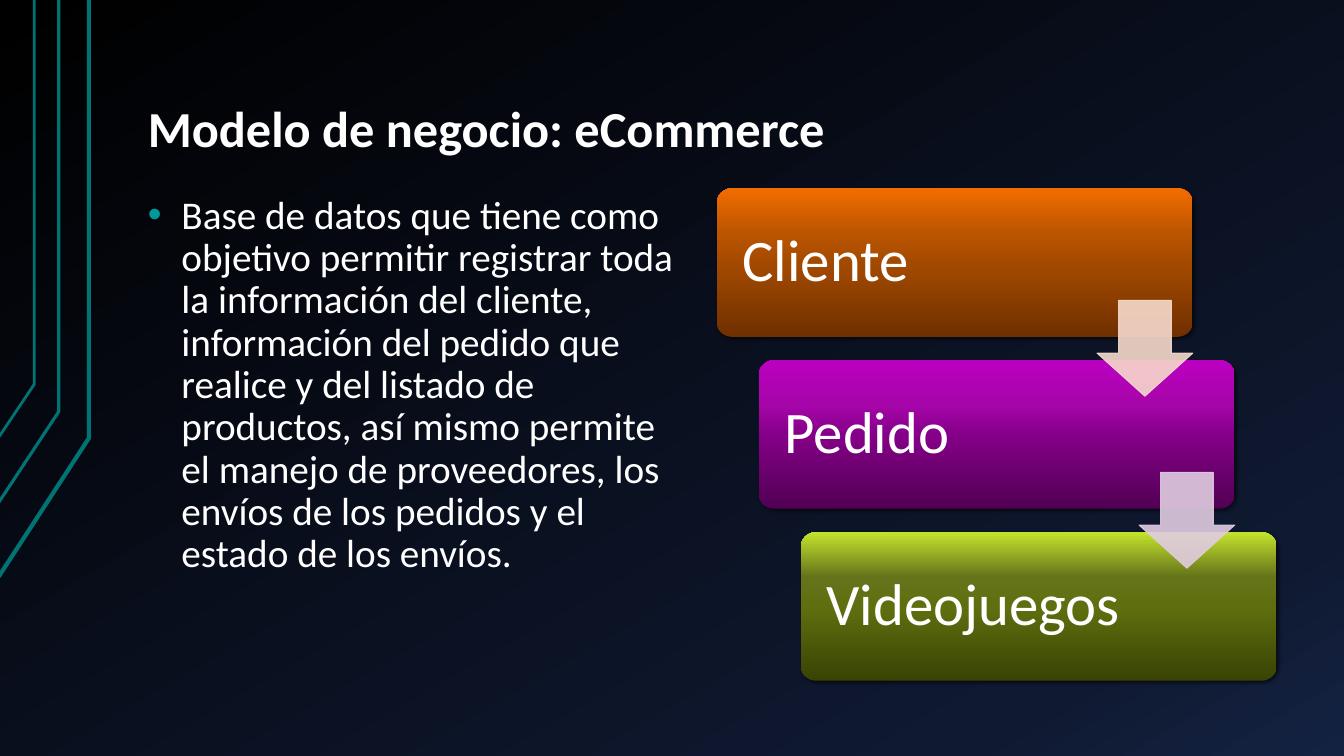
from lxml import etree
from pptx import Presentation
from pptx.dml.color import RGBColor
from pptx.enum import shapes, text
from pptx.oxml import ns
from pptx.util import Pt

TITLE = "Modelo de negocio: eCommerce"
BODY = ("Base de datos que tiene como objetivo permitir registrar toda la "
        "información del cliente, información del pedido que realice y del "
        "listado de productos, así mismo permite el manejo de proveedores, "
        "los envíos de los pedidos y el estado de los envíos.")
# Steps: label, gradient from bottom to top, colour of the arrow that follows
STEPS = [
    ("Cliente", [(0, "703000"), (50, "A44A00"), (70, "BC5500"), (100, "F26D00")], "F7DACC"),
    ("Pedido", [(0, "520054"), (50, "850088"), (70, "A505A9"), (100, "BC00C0")], "E0CCE1"),
    ("Videojuegos", [(0, "394404"), (50, "5F6F0F"), (70, "65741A"), (100, "C4E32D")], None),
]
BACKGROUND = [(0, "000000"), (85, "0F1931"), (100, "142242")]
# Side lines: outer end, bend, line width
SIDE_LINES = [((-1, 412), (63.5, 313), 3),
              ((-1, 359), (42, 294), 2.25),
              ((-1, 312.5), (24.5, 274.5), 2)]
WHITE, TEAL, BULLET = "FFFFFF", "007373", "009999"
BOX_X, BOX_Y, BOX_W, BOX_H = 512, 134.6, 340, 106
STEP_X, STEP_Y = 30, 122.8
ARROW, ARROW_DROP = 68.4, 80


def color(value):
    return RGBColor.from_string(value)


def add_xml(parent, tag, **attrs):
    child = etree.SubElement(parent, ns.qn(tag))
    for name, value in attrs.items():
        child.set(name, str(value))
    return child


def set_gradient(fill, element, stops, angle):
    fill.gradient()
    grad = element.find(".//" + ns.qn("a:gradFill"))
    for child in list(grad):
        grad.remove(child)
    stop_list = add_xml(grad, "a:gsLst")
    for pos, value in stops:
        stop = add_xml(stop_list, "a:gs", pos=pos * 1000)
        add_xml(stop, "a:srgbClr", val=value)
    add_xml(grad, "a:lin", ang=angle * 60000, scaled=0)


def set_alpha(element, percent):
    for clr in element.spPr.iter(ns.qn("a:srgbClr")):
        add_xml(clr, "a:alpha", val=percent * 1000)


def place(sp, x, y, w, h):
    sp.left, sp.top, sp.width, sp.height = Pt(x), Pt(y), Pt(w), Pt(h)


def write(sp, words, size, bold=False, anchor=text.MSO_ANCHOR.TOP,
          before=0, margins=(9.6, 4.8)):
    tf = sp.text_frame
    tf.word_wrap = True
    tf.auto_size = text.MSO_AUTO_SIZE.NONE
    tf.vertical_anchor = anchor
    tf.margin_left = tf.margin_right = Pt(margins[0])
    tf.margin_top = tf.margin_bottom = Pt(margins[1])
    p = tf.paragraphs[0]
    p.alignment = text.PP_ALIGN.LEFT
    p.line_spacing = 0.9
    p.space_before = Pt(before)
    r = p.add_run()
    r.text = words
    r.font.name, r.font.size, r.font.bold = "Calibri", Pt(size), bold
    r.font.color.rgb = color(WHITE)
    return p


prs = Presentation()
prs.slide_width, prs.slide_height = Pt(960), Pt(540)
s = prs.slides.add_slide(prs.slide_layouts[1])
set_gradient(s.background.fill, s._element, BACKGROUND, 60)

# Side lines
for end, bend, width in SIDE_LINES:
    path_points = [(Pt(x), Pt(y)) for x, y in (end, bend, (bend[0], 0))]
    builder = s.shapes.build_freeform(*path_points[0])
    builder.add_line_segments(path_points[1:], close=False)
    sp = builder.convert_to_shape()
    sp.fill.background()
    sp.line.color.rgb = color(TEAL)
    sp.line.width = Pt(width)
    sp.shadow.inherit = False

# Title and body
title, body = s.shapes.title, s.placeholders[1]
place(title, 96, 21.6, 816, 96.5)
write(title, TITLE, 36, bold=True, anchor=text.MSO_ANCHOR.BOTTOM)
place(body, 96, 134.6, 399.6, 351.4)
p = write(body, BODY, 28, before=16)
pPr = p._p.get_or_add_pPr()
pPr.set("marL", str(Pt(24)))
pPr.set("indent", str(-Pt(24)))
add_xml(add_xml(pPr, "a:buClr"), "a:srgbClr", val=BULLET)
add_xml(pPr, "a:buFont", typeface="Arial")
add_xml(pPr, "a:buChar", char="•")

# Step boxes
for i, (label, stops, _) in enumerate(STEPS):
    sp = s.shapes.add_shape(shapes.MSO_SHAPE.ROUNDED_RECTANGLE, 0, 0, 0, 0)
    place(sp, BOX_X + i * STEP_X, BOX_Y + i * STEP_Y, BOX_W, BOX_H)
    sp.adjustments[0] = 0.1
    set_gradient(sp.fill, sp._element, stops, 270)
    sp.line.fill.background()
    sp.shadow.inherit = False
    effects = sp._element.spPr.find(ns.qn("a:effectLst"))
    shadow = add_xml(effects, "a:outerShdw", blurRad=Pt(3), dist=Pt(2),
                     dir=45 * 60000, algn="ctr", rotWithShape=0)
    add_xml(add_xml(shadow, "a:srgbClr", val="000000"), "a:alpha", val=60000)
    write(sp, label, 42, anchor=text.MSO_ANCHOR.MIDDLE, margins=(15.4, 12.2))

# Arrows, flush with the right edge of the box they leave
for i, (_, _, tint) in enumerate(STEPS[:-1]):
    sp = s.shapes.add_shape(shapes.MSO_SHAPE.DOWN_ARROW, 0, 0, 0, 0)
    place(sp, BOX_X + BOX_W - ARROW + i * STEP_X,
          BOX_Y + ARROW_DROP + i * STEP_Y, ARROW, ARROW)
    sp.adjustments[0], sp.adjustments[1] = 0.55, 0.45
    sp.fill.solid()
    sp.fill.fore_color.rgb = color(tint)
    sp.line.color.rgb = color(tint)
    sp.line.width = Pt(0.75)
    sp.shadow.inherit = False
    set_alpha(sp._element, 90)

prs.save("out.pptx")
